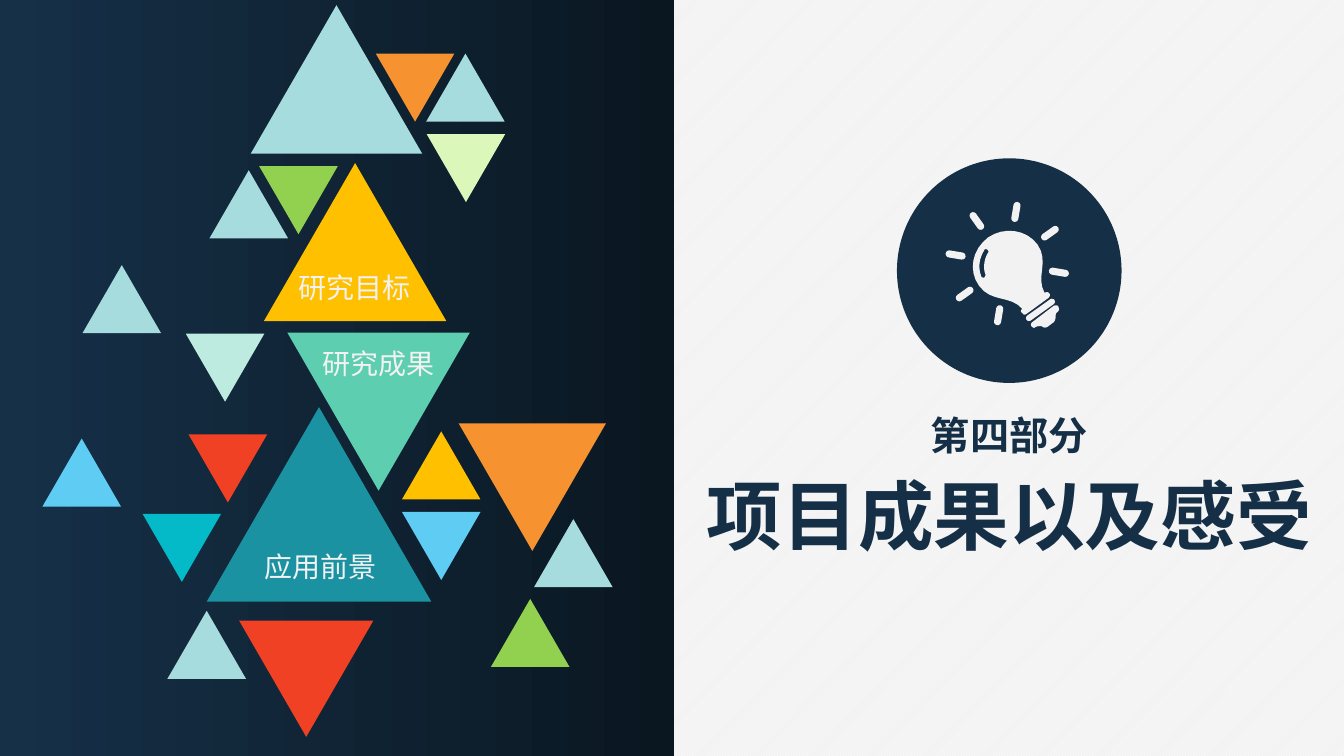
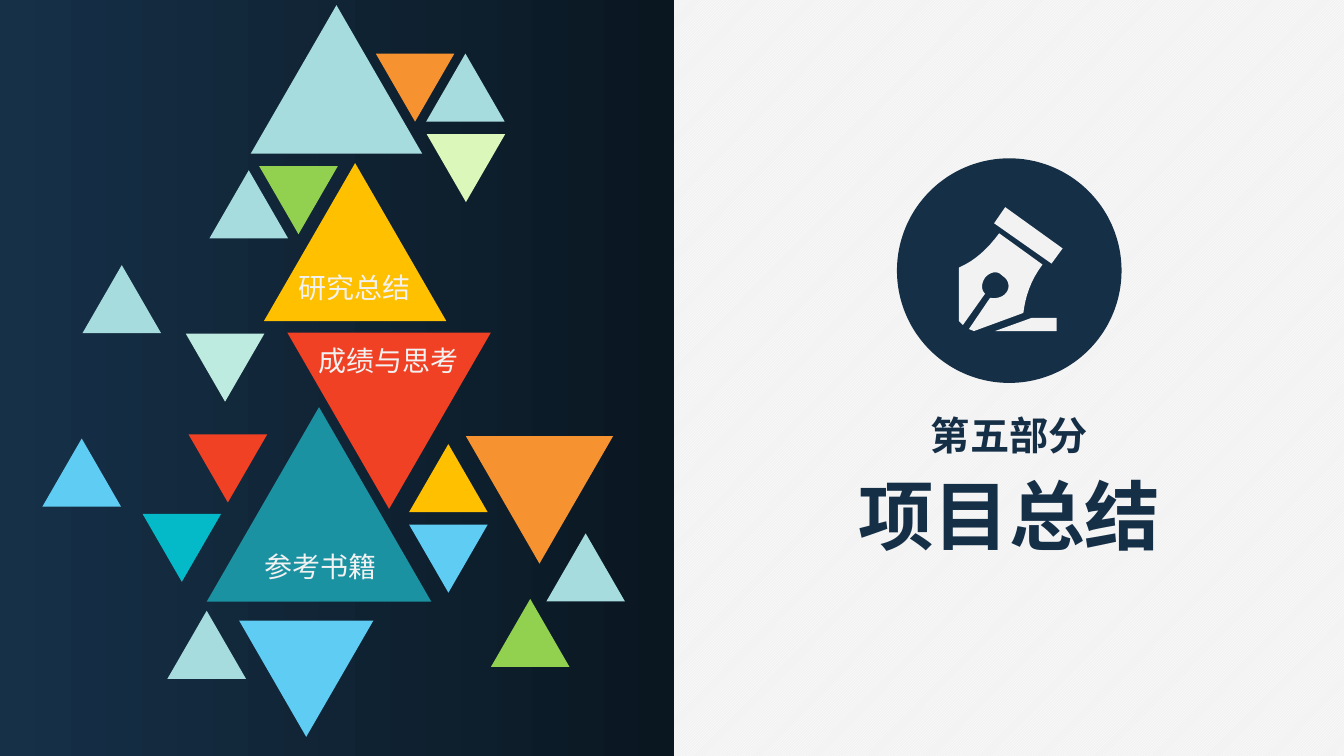
import math

from lxml import etree
from pptx import Presentation
from pptx.dml.color import RGBColor
from pptx.enum import dml, shapes, text
from pptx.oxml import ns
from pptx.util import Cm, Pt

NAVY = RGBColor(0x15, 0x2F, 0x47)
PANEL_LEFT = RGBColor(0x16, 0x30, 0x48)
PANEL_RIGHT = RGBColor(0x0A, 0x17, 0x21)
WHITE = RGBColor(0xFF, 0xFF, 0xFF)
PAPER = RGBColor(0xF2, 0xF2, 0xF2)
PALE = RGBColor(0xA7, 0xDC, 0xDE)
MINT = RGBColor(0xBE, 0xEB, 0xDF)
JADE = RGBColor(0x5D, 0xCE, 0xAF)
TEAL = RGBColor(0x1A, 0x92, 0xA2)
SKY = RGBColor(0x5E, 0xCC, 0xF3)
CYAN = RGBColor(0x05, 0xBA, 0xC8)
GREEN = RGBColor(0x92, 0xD0, 0x50)
LIME = RGBColor(0xDC, 0xF7, 0xBA)
ORANGE = RGBColor(0xF6, 0x92, 0x30)
AMBER = RGBColor(0xFF, 0xC0, 0x00)
RED = RGBColor(0xF1, 0x41, 0x24)

FONT = "Noto Sans CJK SC"
SHAPE = shapes.MSO_SHAPE
SLIDE_W, SLIDE_H, PANEL_W = 33.87, 19.05, 17
SMALL = 1.98
CM_PER_PT = 2.54 / 72
EQUILATERAL = math.sqrt(3) / 2

# Triangles of the panel that stay the same: left, top, width, rotation, colour
FIXED_TRIANGLES = [
    (2.08, 6.68, SMALL, 0, PALE),
    (10.74, 1.35, SMALL, 0, PALE),
    (4.93, 7.98, SMALL, 60, MINT),
    (5.21, 10.26, 5.66, 0, TEAL),
    (4.22, 15.39, SMALL, 0, PALE),
    (1.07, 11.05, SMALL, 0, SKY),
    (5.28, 4.29, SMALL, 0, PALE),
    (6.78, 3.76, SMALL, 60, GREEN),
    (11, 2.95, SMALL, 60, LIME),
    (3.84, 12.52, SMALL, 60, CYAN),
    (5, 10.52, SMALL, 60, RED),
    (6.65, 4.11, 4.6, 0, AMBER),
    (12.62, 15.52, SMALL, 120, GREEN),
    (6.32, 0.13, 4.32, 0, PALE),
    (9.47, 1.35, SMALL, 180, ORANGE),
]
# Triangles right of the middle one, which move with its size
CLUSTER = [
    (11.56, 10.67, 3.71, 180, ORANGE),
    (10.13, 10.87, SMALL, 0, AMBER),
    (10.13, 12.9, SMALL, 180, SKY),
]

# Icon outlines, centred on the badge, whose diameter is BADGE_UNITS.
# A pair is a line to a point, six numbers are a Bezier curve.
BADGE_UNITS = 223
BULB = [
    [(40, 23), (41, 24, 40, 26, 39, 27), (17, 43), (15, 44, 14, 44, 13, 42),
     (11, 41, 11, 39, 13, 38), (1, 24, -18, 32, -30, 15),
     (-41, 0, -37, -21, -21, -33), (-5, -44, 17, -41, 28, -26),
     (40, -9, 26, 6, 35, 22), (37, 21, 39, 21, 40, 23)],
    [(-22, -21), (-23, -22, -25, -21, -25, -20), (-30, -12, -31, -3, -28, 5),
     (-28, 6, -27, 7, -25, 7), (-24, 6, -23, 4, -24, 3),
     (-26, -3, -25, -12, -21, -18), (-20, -19, -21, -20, -22, -21)],
    [(44, 35), (23, 51), (21, 52, 21, 55, 23, 56), (24, 57, 25, 57, 26, 56),
     (28, 55, 30, 55, 32, 55), (34, 57, 37, 57, 39, 55), (43, 52),
     (45, 51, 46, 48, 46, 46), (46, 44, 46, 42, 48, 41),
     (49, 40, 50, 38, 49, 37), (49, 34, 46, 34, 44, 35)],
]
PEN = [
    [(-46, 54), (-50, 50), (-50, -3), (-34, -10, -22, -21, -10, -37), (33, -6),
     (21, 10, 16, 26, 14, 42), (-35, 60), (-40, 58), (-19, 27),
     (-14, 28, -7, 27, -3, 22), (1, 17, 0, 9, -7, 5),
     (-12, -1, -20, 2, -24, 7), (-28, 13, -28, 19, -24, 23), (-46, 54)],
    [(-14, 60), (47, 60), (47, 47), (22, 47)],
    [(42, -7), (53, -22), (-4, -63), (-15, -47)],
]


def paint(sp, colour):
    sp.shadow.inherit = False
    sp.line.fill.background()
    sp.fill.solid()
    sp.fill.fore_color.rgb = colour


def add_shape(s, kind, left, top, width, height, colour, rotation=0):
    sp = s.shapes.add_shape(kind, Cm(left), Cm(top), Cm(width), Cm(height))
    paint(sp, colour)
    sp.rotation = rotation
    return sp


def add_triangle(s, left, top, width, rotation, colour):
    add_shape(s, SHAPE.ISOSCELES_TRIANGLE, left, top, width,
              width * EQUILATERAL, colour, rotation)


def add_line_of_text(s, words, centre, top, size, colour, bold=False):
    """One centred line in a box that fits it."""
    width = len(words) * size * CM_PER_PT + 0.51
    height = 1.2 * size * CM_PER_PT + 0.25
    box = s.shapes.add_textbox(Cm(centre - width / 2), Cm(top),
                               Cm(width), Cm(height))
    tf = box.text_frame
    tf.word_wrap = False
    tf.auto_size = text.MSO_AUTO_SIZE.SHAPE_TO_FIT_TEXT
    p = tf.paragraphs[0]
    p.alignment = text.PP_ALIGN.CENTER
    r = p.add_run()
    r.text = words
    for name, value in {"name": FONT, "size": Pt(size), "bold": bold}.items():
        setattr(r.font, name, value)
    r.font.color.rgb = colour
    ea = etree.SubElement(r.font._element, ns.qn("a:ea"))
    ea.set("typeface", FONT)


def flatten(contour, steps=8):
    """Points along a contour of lines and Bezier curves."""
    points = [contour[0]]
    for part in contour[1:]:
        if len(part) == 2:
            points.append(part)
            continue
        knots = [points[-1], part[:2], part[2:4], part[4:]]
        for i in range(1, steps + 1):
            t = i / steps
            weights = [math.comb(3, k) * t**k * (1 - t)**(3 - k) for k in range(4)]
            points.append(tuple(sum(w * knot[axis] for w, knot in zip(weights, knots))
                                for axis in (0, 1)))
    return points


def add_outline(s, contours, cx, cy, unit):
    builder = None
    for contour in contours:
        points = [(Cm(x * unit), Cm(y * unit)) for x, y in flatten(contour)]
        if builder is None:
            builder = s.shapes.build_freeform(*points[0], scale=1.0)
        else:
            builder.move_to(*points[0])
        builder.add_line_segments(points[1:], close=True)
    paint(builder.convert_to_shape(Cm(cx), Cm(cy)), PAPER)


def add_bar(s, cx, cy, length, thickness, rotation):
    """Round-ended bar given by its centre."""
    bar = add_shape(s, SHAPE.ROUNDED_RECTANGLE, cx - length / 2,
                    cy - thickness / 2, length, thickness, PAPER, rotation)
    bar.adjustments[0] = 0.5


def draw_bulb(s, cx, cy, unit):
    add_outline(s, BULB, cx, cy, unit)
    tilt = 54.5
    add_bar(s, cx + 31 * unit, cy + 39 * unit, 34 * unit, 6 * unit, tilt - 90)
    for k in range(1, 8):
        angle = tilt + 45 * k
        add_bar(s, cx + (52 * math.cos(math.radians(angle)) - 2) * unit,
                cy + (52 * math.sin(math.radians(angle)) - 7) * unit,
                20 * unit, 7 * unit, angle)


def draw_pen(s, cx, cy, unit):
    add_outline(s, PEN, cx, cy, unit)


def draw_badge(s, left, top, size, draw_icon):
    add_shape(s, SHAPE.OVAL, left, top, size, size, NAVY)
    draw_icon(s, left + size / 2, top + size / 2, size / BADGE_UNITS)


def draw_panel(s, left, top, width, height):
    panel = add_shape(s, SHAPE.RECTANGLE, left, top, width, height, NAVY)
    panel.fill.gradient()
    panel.fill.gradient_angle = 0
    for stop, position, colour in zip(panel.fill.gradient_stops, (0, 1),
                                      (PANEL_LEFT, PANEL_RIGHT)):
        stop.position = position
        stop.color.rgb = colour


def draw_triangles(s, left, top, section):
    dx, dy = section["cluster_shift"]
    triangles = FIXED_TRIANGLES + [
        (7.24, 8.38, section["middle_width"], 180, section["middle_colour"]),
        (6.45, 14.91, 3.38, 60, section["bottom_colour"]),
        (*section["outer_triangle"], SMALL, 0, PALE),
    ] + [(x + dx, y + dy, *rest) for x, y, *rest in CLUSTER]
    for x, y, *rest in triangles:
        add_triangle(s, left + x, top + y, *rest)
    places = [(8.94, 6.68), section["middle_label"], (8.08, 13.72)]
    for words, (x, y) in zip(section["topics"], places):
        add_line_of_text(s, words, left + x, top + y, 20, PAPER)


def draw_heading(s, left, top, width, section):
    centre = left + width / 2
    size = 5.66
    draw_badge(s, centre - size / 2, top, size, section["icon"])
    add_line_of_text(s, section["part"], centre, top + 6.25, 28, NAVY, True)
    add_line_of_text(s, section["title"], centre, top + 7.7, 54, NAVY, True)


def add_section_slide(prs, section):
    s = prs.slides.add_slide(prs.slide_layouts[6])
    draw_panel(s, 0, 0, PANEL_W, SLIDE_H)
    draw_heading(s, PANEL_W, 3.99, SLIDE_W - PANEL_W, section)
    draw_triangles(s, 0, 0, section)


SECTIONS = [
    {"part": "第四部分", "title": "项目成果以及感受", "icon": draw_bulb,
     "topics": ["研究目标", "研究成果", "应用前景"],
     "middle_width": 4.6, "middle_colour": JADE, "middle_label": (9.53, 8.61),
     "bottom_colour": RED, "cluster_shift": (0, 0),
     "outer_triangle": (13.46, 13.08)},
    {"part": "第五部分", "title": "项目总结", "icon": draw_pen,
     "topics": ["研究总结", "成绩与思考", "参考书籍"],
     "middle_width": 5.13, "middle_colour": RED, "middle_label": (9.8, 8.53),
     "bottom_colour": SKY, "cluster_shift": (0.18, 0.32),
     "outer_triangle": (13.77, 13.44)},
]


def main():
    prs = Presentation()
    prs.slide_width, prs.slide_height = Cm(SLIDE_W), Cm(SLIDE_H)
    fill = prs.slide_master.background.fill
    fill.patterned()
    fill.pattern = dml.MSO_PATTERN.LIGHT_UPWARD_DIAGONAL
    fill.fore_color.rgb = WHITE
    fill.back_color.rgb = PAPER
    for section in SECTIONS:
        add_section_slide(prs, section)
    prs.save("out.pptx")


if __name__ == "__main__":
    main()
